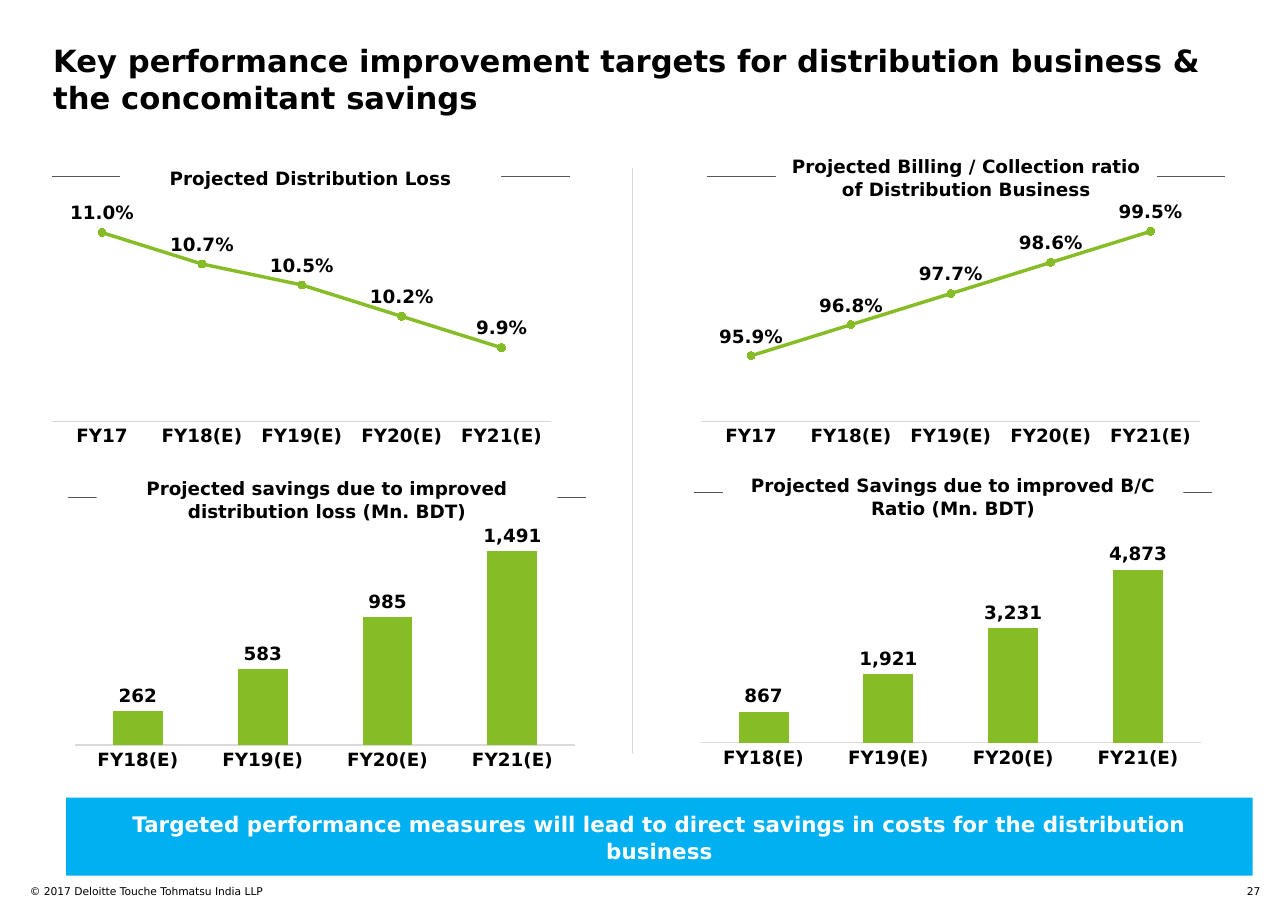
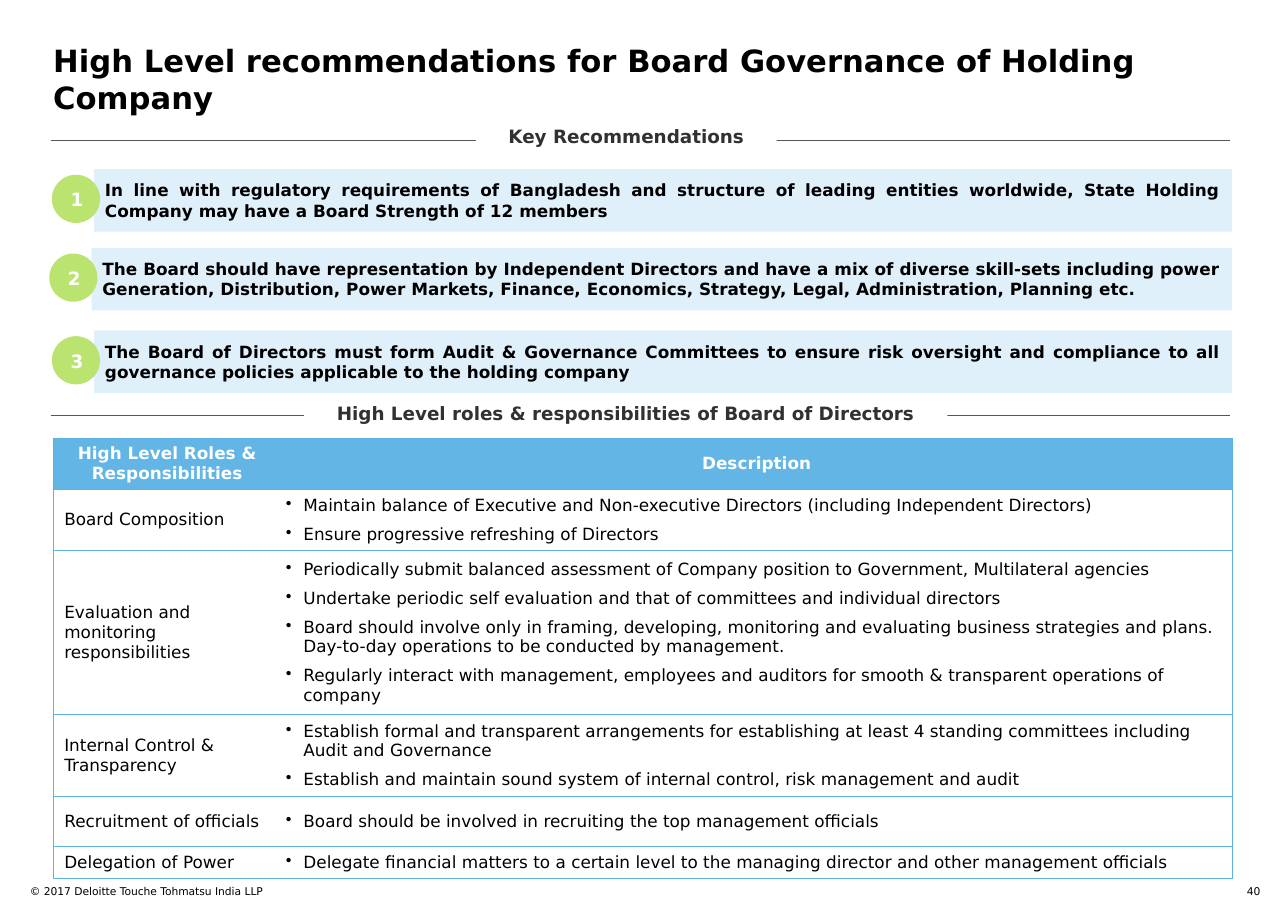
from lxml import etree
from pptx import Presentation
from pptx import util as u
from pptx.chart import data as chart_data
from pptx.dml.color import RGBColor
from pptx.enum import chart as charts, shapes, text
from pptx.oxml import ns

FONT = "DejaVu Sans"
BLACK, WHITE = "000000", "FFFFFF"
RULE, DIVIDER, HEADING = "53565A", "D9D9D9", "313131"
GREEN, LIGHT_GREEN = "86BC25", "BAE370"
BANNER, BAND, TABLE_HEAD, TABLE_EDGE = "00B0F0", "E0F0FA", "62B5E5", "5DB2E3"
INSET = 7.2
LEFT, CENTER, RIGHT, JUSTIFY = (
    text.PP_ALIGN.LEFT, text.PP_ALIGN.CENTER, text.PP_ALIGN.RIGHT, text.PP_ALIGN.JUSTIFY)
TOP, MIDDLE = text.MSO_ANCHOR.TOP, text.MSO_ANCHOR.MIDDLE


def rgb(code):
    """Turn a hex string into a colour."""
    return RGBColor.from_string(code)


def points(*lengths):
    """Turn numbers into lengths in points."""
    return [u.Pt(length) for length in lengths]


def style(font, size, color=BLACK, bold=False):
    """Set the shared typeface with a size, colour and weight."""
    font.name, font.size, font.bold = FONT, u.Pt(size), bold
    font.color.rgb = rgb(color)


def write(frame, lines, size, color=BLACK, bold=False, align=LEFT, spacing=None, bullets=False):
    """Write one paragraph for each line, with bullets if asked."""
    for index, line in enumerate(lines):
        paragraph = frame.add_paragraph() if index else frame.paragraphs[0]
        if bullets:
            properties = paragraph._p.get_or_add_pPr()
            properties.set("marL", str(u.Pt(11.5)))
            properties.set("indent", str(u.Pt(-11.5)))
            etree.SubElement(properties, ns.qn("a:buChar")).set("char", "•")
        paragraph.alignment = align
        if spacing:
            paragraph.line_spacing = spacing
        if index:
            paragraph.space_before = u.Pt(6)
        run = paragraph.add_run()
        run.text = line
        style(run.font, size, color, bold)


def set_frame(frame, inset, anchor):
    """Wrap a text frame and set its insets and anchor."""
    frame.word_wrap, frame.vertical_anchor = True, anchor
    frame.margin_left = frame.margin_top = frame.margin_right = frame.margin_bottom = u.Pt(inset)


def add_label(slide, box, words, size, **look):
    """Add plain text without insets."""
    frame = slide.shapes.add_textbox(*points(*box)).text_frame
    set_frame(frame, 0, TOP)
    write(frame, [words], size, **look)


def add_block(slide, box, fill, words, size, inset=INSET, anchor=MIDDLE,
              kind=shapes.MSO_SHAPE.RECTANGLE, outline=None, **look):
    """Add a filled shape with bold text."""
    block = slide.shapes.add_shape(kind, *points(*box))
    block.shadow.inherit = False
    block.fill.solid()
    block.fill.fore_color.rgb = rgb(fill)
    if outline:
        block.line.color.rgb = rgb(outline)
        block.line.width = u.Pt(1.5)
    else:
        block.line.fill.background()
    set_frame(block.text_frame, inset, anchor)
    write(block.text_frame, [words], size, bold=True, **look)


def add_rule(slide, start, end, color):
    """Draw a thin straight line."""
    rule = slide.shapes.add_connector(
        shapes.MSO_CONNECTOR.STRAIGHT, *points(*start, *end))
    rule.line.color.rgb = rgb(color)
    rule.line.width = u.Pt(0.75)
    etree.SubElement(rule._element.spPr, ns.qn("a:effectLst"))


def add_heading(slide, rule, box, words, **look):
    """Set a centred heading over a horizontal rule."""
    left, top, width = rule
    add_rule(slide, (left, top), (left + width, top), RULE)
    add_block(slide, box, WHITE, words, 12, align=CENTER, **look)


def start_slide(deck, title, number):
    """Add a slide with its title and footer."""
    slide = deck.slides.add_slide(deck.slide_layouts[6])
    add_label(slide, (34.8, 27.4, 772, 48), title, 20, bold=True)
    add_label(slide, (19.5, 578.2, 369, 17), "© 2017 Deloitte Touche Tohmatsu India LLP", 7)
    add_label(slide, (802, 578.2, 21.7, 9), number, 7, align=RIGHT)
    return slide


def fix_plot(chart):
    """Hold the plot area at the same place in every chart."""
    plot_area = chart._chartSpace.chart.plotArea
    for old in plot_area.findall(ns.qn("c:layout")):
        plot_area.remove(old)
    layout = etree.Element(ns.qn("c:layout"))
    manual = etree.SubElement(layout, ns.qn("c:manualLayout"))
    settings = [("layoutTarget", "inner"), ("xMode", "edge"), ("yMode", "edge"),
                ("x", "0.022"), ("y", "0.04"), ("w", "0.96"), ("h", "0.835")]
    for tag, value in settings:
        etree.SubElement(manual, ns.qn("c:" + tag)).set("val", value)
    plot_area.insert(0, layout)


def add_projection(slide, corner, kind, years, values, scale, number_format):
    """Add a one-series chart of yearly projections."""
    figures = chart_data.CategoryChartData()
    figures.categories = years
    figures.add_series("Series 1", values)
    chart = slide.shapes.add_chart(kind, *points(*corner, 340, 164), figures).chart
    chart.has_legend = chart.has_title = False
    style(chart.font, 10, bold=True)
    fix_plot(chart)

    value_axis, year_axis = chart.value_axis, chart.category_axis
    value_axis.minimum_scale, value_axis.maximum_scale = scale
    value_axis.has_major_gridlines = value_axis.visible = False
    year_axis.major_tick_mark = charts.XL_TICK_MARK.NONE
    year_axis.format.line.color.rgb = rgb(DIVIDER)
    year_axis.format.line.width = u.Pt(0.75)
    style(year_axis.tick_labels.font, 12, bold=True)

    plot = chart.plots[0]
    plot.vary_by_categories = False
    series = plot.series[0]
    labels = series.data_labels
    labels.show_value = True
    labels.number_format, labels.number_format_is_linked = number_format, False
    style(labels.font, 12, bold=True)
    if kind == charts.XL_CHART_TYPE.LINE_MARKERS:
        labels.position = charts.XL_LABEL_POSITION.ABOVE
        series.smooth = False
        series.format.line.color.rgb = rgb(GREEN)
        series.format.line.width = u.Pt(2.25)
        series.marker.style = charts.XL_MARKER_STYLE.CIRCLE
        series.marker.size = 5
        fills = [series.marker.format.fill]
        series.marker.format.line.color.rgb = rgb(GREEN)
    else:
        labels.position = charts.XL_LABEL_POSITION.OUTSIDE_END
        plot.gap_width = 150
        fills = [series.format.fill]
    for fill in fills:
        fill.solid()
        fill.fore_color.rgb = rgb(GREEN)


def edge_cell(cell, sides, fill):
    """Draw the given cell sides, clear the others and fill the cell."""
    properties = cell._tc.get_or_add_tcPr()
    for side in "LRTB":
        edge = etree.SubElement(properties, ns.qn("a:ln" + side))
        edge.set("w", str(u.Pt(0.75)))
        if side in sides:
            solid = etree.SubElement(edge, ns.qn("a:solidFill"))
            etree.SubElement(solid, ns.qn("a:srgbClr")).set("val", TABLE_EDGE)
        else:
            etree.SubElement(edge, ns.qn("a:noFill"))
    cell.fill.solid()
    cell.fill.fore_color.rgb = rgb(fill)


def add_roles(slide, headers, roles, heights):
    """Add the table of roles and their bulleted duties."""
    table = slide.shapes.add_table(
        len(heights), 2, *points(34.8, 286.3, 770.4, sum(heights))).table
    table.first_row = table.horz_banding = False
    for column, width in zip(table.columns, (149, 621.4)):
        column.width = u.Pt(width)
    for row, height in zip(table.rows, heights):
        row.height = u.Pt(height)
    rows = [[[header] for header in headers]] + [[[role], duties] for role, duties in roles]
    for row_index, row in enumerate(rows):
        for column_index, lines in enumerate(row):
            cell = table.cell(row_index, column_index)
            cell.vertical_anchor = MIDDLE
            edge_cell(cell, "TB" + "LR"[column_index], WHITE if row_index else TABLE_HEAD)
            if not row_index:
                write(cell.text_frame, lines, 11, WHITE, True, CENTER)
                continue
            if column_index:
                cell.margin_left = cell.margin_right = u.Pt(3)
                cell.margin_top = cell.margin_bottom = u.Pt(3)
            write(cell.text_frame, lines, 11, bullets=column_index == 1)


def build_targets(deck):
    """Build the slide of performance targets and savings."""
    slide = start_slide(deck, "Key performance improvement targets for distribution business & "
                        "the concomitant savings", "27")
    years = ["FY17", "FY18(E)", "FY19(E)", "FY20(E)", "FY21(E)"]
    line, column = charts.XL_CHART_TYPE.LINE_MARKERS, charts.XL_CHART_TYPE.COLUMN_CLUSTERED
    panels = [
        ("Projected Distribution Loss", 203, 115.4, 98.8, 249, (26.6, 131.8), line, years,
         (0.11, 0.107, 0.105, 0.102, 0.099), (0.092, 0.112), "0.0%"),
        ("Projected Billing / Collection ratio of Distribution Business", 631.5, 115.4, 98.8, 249,
         (450.7, 131.8), line, years, (0.959, 0.968, 0.977, 0.986, 0.995), (0.94, 1), "0.0%"),
        ("Projected savings due to improved distribution loss (Mn. BDT)", 213.7, 325, 309, 301,
         (41.8, 343.4), column, years[1:], (262, 583, 985, 1491), (0, 1600), "#,##0"),
        ("Projected Savings due to improved B/C Ratio (Mn. BDT)", 622.8, 321.8, 307.4, 301,
         (450.7, 342), column, years[1:], (867, 1921, 3231, 4873), (0, 5900), "#,##0"),
    ]
    add_rule(slide, (413.3, 110), (413.3, 493), DIVIDER)
    for words, middle, rule_top, top, width, corner, *projection in panels:
        add_heading(slide, (middle - 169.3, rule_top, 338.6),
                    (middle - width / 2, top, width, 34), words, spacing=1.06)
        add_projection(slide, corner, *projection)
    add_block(slide, (43.2, 521.3, 775.4, 51), BANNER,
              "Targeted performance measures will lead to direct savings in costs for the "
              "distribution business", 14, color=WHITE, align=CENTER, spacing=1.06)


def build_governance(deck):
    """Build the slide of board recommendations and roles."""
    slide = start_slide(
        deck, "High Level recommendations for Board Governance of Holding Company", "40")
    headings = [("Key Recommendations", 91.6, (311, 82.1, 196.6, 14.4)),
                ("High Level roles & responsibilities of Board of Directors", 271.6,
                 (198.7, 262.8, 420.5, 18))]
    for words, rule_top, box in headings:
        add_heading(slide, (33.1, rule_top, 770.4), box, words,
                    inset=0, anchor=TOP, color=HEADING)
    recommendations = [
        (61.5, 110.5, "In line with regulatory requirements of Bangladesh and structure of leading "
         "entities worldwide, State Holding Company may have a Board Strength of 12 members"),
        (59.8, 162, "The Board should have representation by Independent Directors and have a mix "
         "of diverse skill-sets including power Generation, Distribution, Power Markets, Finance, "
         "Economics, Strategy, Legal, Administration, Planning etc."),
        (61.5, 216, "The Board of Directors must form Audit & Governance Committees to ensure risk "
         "oversight and compliance to all governance policies applicable to the holding company"),
    ]
    for number, (left, top, words) in enumerate(recommendations, 1):
        add_block(slide, (left, top, 805 - left, 41), BAND, words, 11,
                  anchor=TOP, align=JUSTIFY)
        add_block(slide, (left - 26.8, top + 4.5, 30, 30), LIGHT_GREEN, str(number), 12,
                  kind=shapes.MSO_SHAPE.OVAL, outline=LIGHT_GREEN,
                  color=WHITE, align=CENTER, spacing=1.06)
    roles = [
        ("Board Composition", [
            "Maintain balance of Executive and Non-executive Directors (including Independent "
            "Directors)",
            "Ensure progressive refreshing of Directors"]),
        ("Evaluation and monitoring responsibilities", [
            "Periodically submit balanced assessment of Company position to Government, "
            "Multilateral agencies",
            "Undertake periodic self evaluation and that of committees and individual directors",
            "Board should involve only in framing, developing, monitoring and evaluating business "
            "strategies and plans. Day-to-day operations to be conducted by management.",
            "Regularly interact with management, employees and auditors for smooth & transparent "
            "operations of company"]),
        ("Internal Control & Transparency", [
            "Establish formal and transparent arrangements for establishing at least 4 standing "
            "committees including Audit and Governance",
            "Establish and maintain sound system of internal control, risk management and audit"]),
        ("Recruitment of officials", [
            "Board should be involved in recruiting the top management officials"]),
        ("Delegation of Power", [
            "Delegate financial matters to a certain level to the managing director and other "
            "management officials"]),
    ]
    add_roles(slide, ("High Level Roles & Responsibilities", "Description"), roles,
              (33.6, 40, 107.2, 53.4, 32.6, 21.2))


def main():
    """Build the deck and save it."""
    deck = Presentation()
    deck.slide_width, deck.slide_height = points(841.68, 595.44)
    build_targets(deck)
    build_governance(deck)
    deck.save("out.pptx")


if __name__ == "__main__":
    main()
